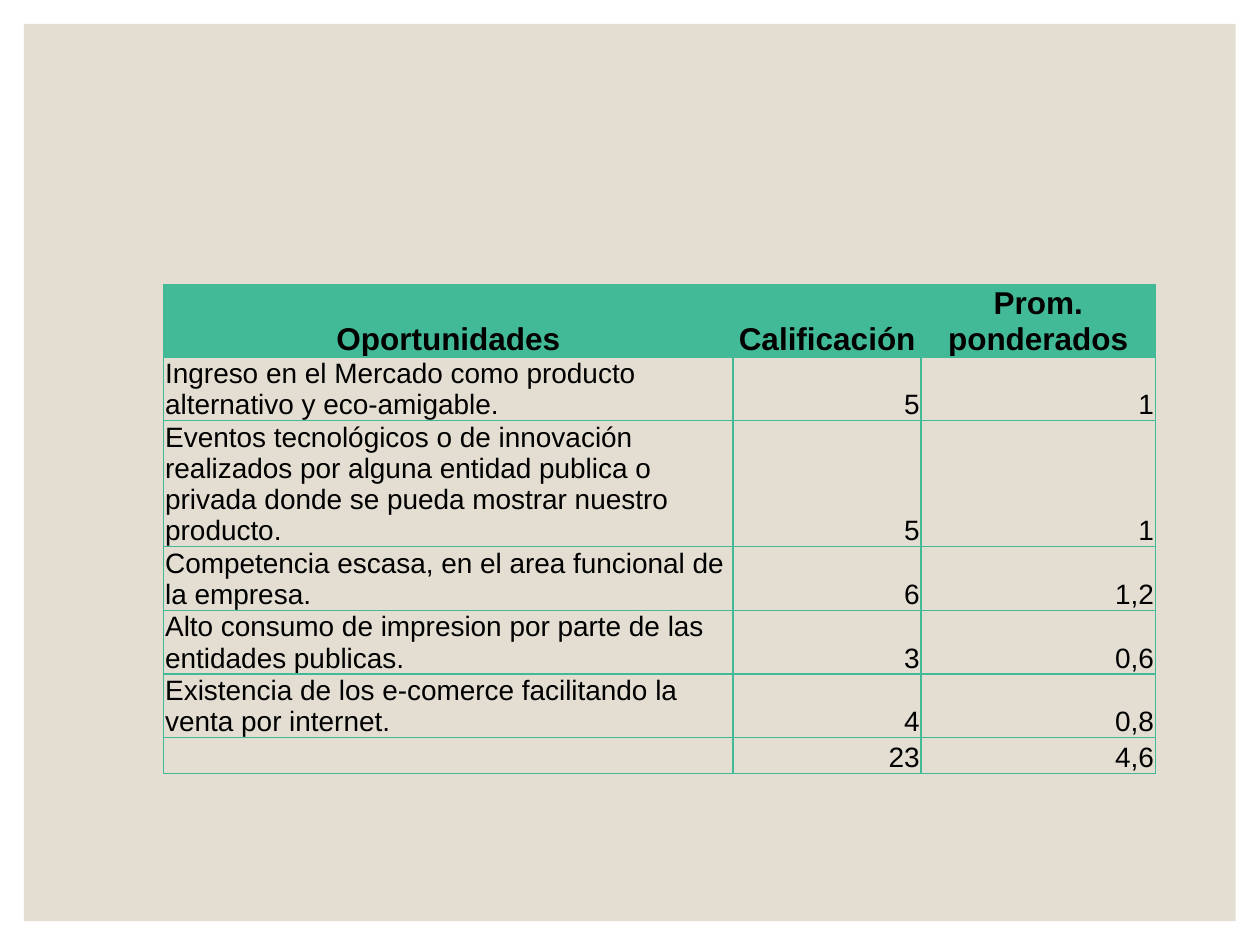
import pptx
import pptx.util
import pptx.dml.color
import pptx.enum.shapes
import pptx.enum.text
import pptx.oxml.ns
from lxml import etree

Cm = pptx.util.Cm
Pt = pptx.util.Pt
ALIGN = pptx.enum.text.PP_ALIGN
qn = pptx.oxml.ns.qn

GREEN = "42BA97"


def paint(fill, colour):
    fill.solid()
    fill.fore_color.rgb = pptx.dml.color.RGBColor.from_string(colour)


def add_borders(cell, colour):
    properties = cell._tc.get_or_add_tcPr()
    for position, side in enumerate(("lnL", "lnR", "lnT", "lnB")):
        line = etree.Element(qn("a:" + side), w=str(Pt(1)))
        solid = etree.SubElement(line, qn("a:solidFill"))
        etree.SubElement(solid, qn("a:srgbClr"), val=colour)
        properties.insert(position, line)


presentation = pptx.Presentation()
presentation.slide_width = Cm(25.4)
presentation.slide_height = Cm(19.05)
slide = presentation.slides.add_slide(presentation.slide_layouts[6])

# Beige panel inside a white margin
panel = slide.shapes.add_shape(
    pptx.enum.shapes.MSO_SHAPE.RECTANGLE, Cm(0.48), Cm(0.48), Cm(24.43), Cm(18.09))
panel.shadow.inherit = False
paint(panel.fill, "E3DED1")
panel.line.fill.background()

# Opportunities with their ratings and weighted averages
opportunities = [
    ("Oportunidades", "Calificación", "Prom. ponderados"),
    ("Ingreso en el Mercado como producto alternativo y eco-amigable.", "5", "1"),
    ("Eventos tecnológicos o de innovación realizados por alguna entidad publica "
     "o privada donde se pueda mostrar nuestro producto.", "5", "1"),
    ("Competencia escasa, en el area funcional de la empresa.", "6", "1,2"),
    ("Alto consumo de impresion por parte de las entidades publicas.", "3", "0,6"),
    ("Existencia de los e-comerce facilitando la venta por internet.", "4", "0,8"),
    ("", "23", "4,6"),
]
column_widths = (11.48, 3.79, 4.72)
row_heights = (0.56, 1.09, 2.13, 1.09, 1.09, 1.09, 0.56)

ratings_frame = slide.shapes.add_table(
    len(opportunities), len(column_widths), Cm(3.3), Cm(5.74), Cm(19.99), Cm(10.52))
ratings = ratings_frame.table
ratings.horz_banding = False
for column, width in zip(ratings.columns, column_widths):
    column.width = Cm(width)
for row, height in zip(ratings.rows, row_heights):
    row.height = Cm(height)

for row_index, entries in enumerate(opportunities):
    is_header = row_index == 0
    for column_index, entry in enumerate(entries):
        cell = ratings.cell(row_index, column_index)
        cell.margin_left = cell.margin_right = cell.margin_top = Cm(0.03)
        cell.margin_bottom = 0
        cell.vertical_anchor = pptx.enum.text.MSO_ANCHOR.BOTTOM
        if is_header:
            paint(cell.fill, GREEN)
        else:
            cell.fill.background()
        add_borders(cell, GREEN)

        paragraph = cell.text_frame.paragraphs[0]
        paragraph.text = entry
        if is_header:
            paragraph.alignment = ALIGN.CENTER
        else:
            paragraph.alignment = ALIGN.RIGHT if column_index else ALIGN.LEFT
        for run in paragraph.runs:
            run.font.name = "Arial"
            run.font.size = Pt(18 if is_header else 16)
            run.font.bold = is_header
            paint(run.font.fill, "000000")
        if not entry:
            # An empty cell takes its line height from the paragraph end
            etree.SubElement(paragraph._p, qn("a:endParaRPr"), sz="1600")

presentation.save("out.pptx")
